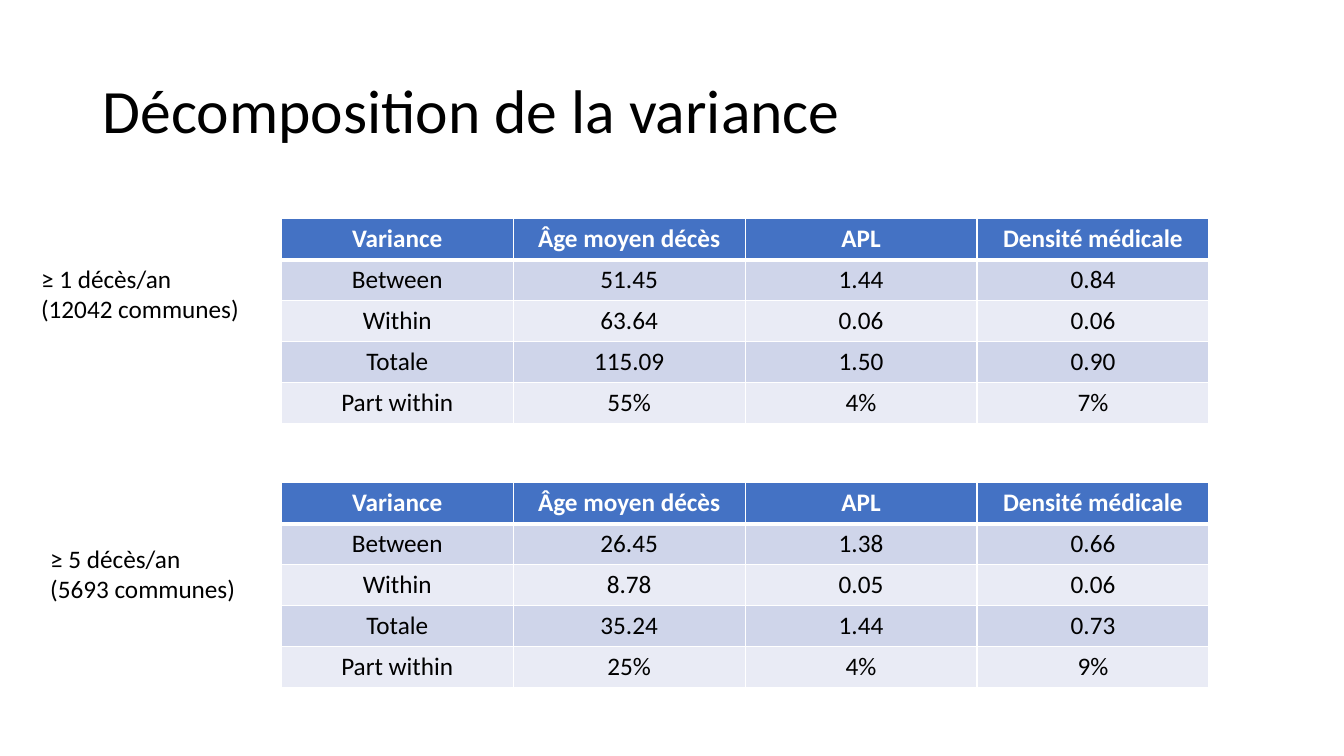
"""Build the variance decomposition slide with its two labelled tables."""
from dataclasses import dataclass

from lxml.etree import SubElement
from pptx import Presentation
from pptx.dml.color import RGBColor
from pptx.enum.text import MSO_ANCHOR, MSO_AUTO_SIZE, PP_ALIGN
from pptx.oxml.ns import qn
from pptx.util import Inches, Pt


@dataclass(frozen=True)
class Theme:
    font: str = "Calibri"
    title_size: int = 44
    body_size: int = 18
    text: str = "000000"
    white: str = "FFFFFF"
    header: str = "4472C4"
    bands: tuple = ("CFD5EA", "E9EBF5")
    rule: int = 1
    header_rule: int = 3


THEME = Theme()
TITLE = "Décomposition de la variance"
HEADER = ("Variance", "Âge moyen décès", "APL", "Densité médicale")
PANELS = [
    {
        "label": ("≥ 1 décès/an", "(12042 communes)"),
        "label_at": (0.31, 2.56),
        "table_top": 2.17,
        "rows": [
            ("Between", "51.45", "1.44", "0.84"),
            ("Within", "63.64", "0.06", "0.06"),
            ("Totale", "115.09", "1.50", "0.90"),
            ("Part within", "55%", "4%", "7%"),
        ],
    },
    {
        "label": ("≥ 5 décès/an", "(5693 communes)"),
        "label_at": (0.4, 5.34),
        "table_top": 4.79,
        "rows": [
            ("Between", "26.45", "1.38", "0.66"),
            ("Within", "8.78", "0.05", "0.06"),
            ("Totale", "35.24", "1.44", "0.73"),
            ("Part within", "25%", "4%", "9%"),
        ],
    },
]
TABLE_LEFT, TABLE_WIDTH, TABLE_HEIGHT = 2.79, 9.2, 2.03
LABEL_WIDTH, LABEL_HEIGHT = 2.26, 0.71


def style(p, size, color=THEME.text, bold=False, align=PP_ALIGN.LEFT):
    p.alignment = align
    p.font.name = THEME.font
    p.font.size = Pt(size)
    p.font.bold = bold
    p.font.color.rgb = RGBColor.from_string(color)


def add_borders(cell, top, bottom):
    tc_pr = cell._tc.get_or_add_tcPr()
    widths = {"a:lnL": THEME.rule, "a:lnR": THEME.rule, "a:lnT": top, "a:lnB": bottom}
    for tag, width in widths.items():
        ln = SubElement(tc_pr, qn(tag), w=str(Pt(width)))
        fill = SubElement(ln, qn("a:solidFill"))
        SubElement(fill, qn("a:srgbClr"), val=THEME.white)


def add_table(s, top, rows):
    grid = [HEADER, *rows]
    table = s.shapes.add_table(
        len(grid), len(HEADER), Inches(TABLE_LEFT), Inches(top),
        Inches(TABLE_WIDTH), Inches(TABLE_HEIGHT),
    ).table
    for i, row in enumerate(grid):
        is_header = i == 0
        fill = THEME.header if is_header else THEME.bands[(i - 1) % 2]
        color = THEME.white if is_header else THEME.text
        top_rule = THEME.header_rule if i == 1 else THEME.rule
        bottom_rule = THEME.header_rule if is_header else THEME.rule
        for j, value in enumerate(row):
            cell = table.cell(i, j)
            cell.text = value
            add_borders(cell, top_rule, bottom_rule)
            cell.fill.solid()
            cell.fill.fore_color.rgb = RGBColor.from_string(fill)
            style(cell.text_frame.paragraphs[0], THEME.body_size, color,
                  is_header, PP_ALIGN.CENTER)


def add_label(s, at, lines):
    left, top = at
    tf = s.shapes.add_textbox(
        Inches(left), Inches(top), Inches(LABEL_WIDTH), Inches(LABEL_HEIGHT)
    ).text_frame
    tf.word_wrap = True
    tf.auto_size = MSO_AUTO_SIZE.SHAPE_TO_FIT_TEXT
    tf.text = "\n".join(lines)
    for p in tf.paragraphs:
        style(p, THEME.body_size)


def add_title(s):
    title = s.shapes.title
    title.left, title.top = Inches(0.92), Inches(0.4)
    title.width, title.height = Inches(11.5), Inches(1.45)
    tf = title.text_frame
    tf.text = TITLE
    tf.auto_size = MSO_AUTO_SIZE.NONE
    tf.vertical_anchor = MSO_ANCHOR.MIDDLE
    p = tf.paragraphs[0]
    p.line_spacing = 0.9
    style(p, THEME.title_size)


prs = Presentation()
prs.slide_width, prs.slide_height = Inches(13.33), Inches(7.5)
s = prs.slides.add_slide(prs.slide_layouts[5])
add_title(s)
for panel in PANELS:
    add_table(s, panel["table_top"], panel["rows"])
for panel in PANELS:
    add_label(s, panel["label_at"], panel["label"])
prs.save("out.pptx")
